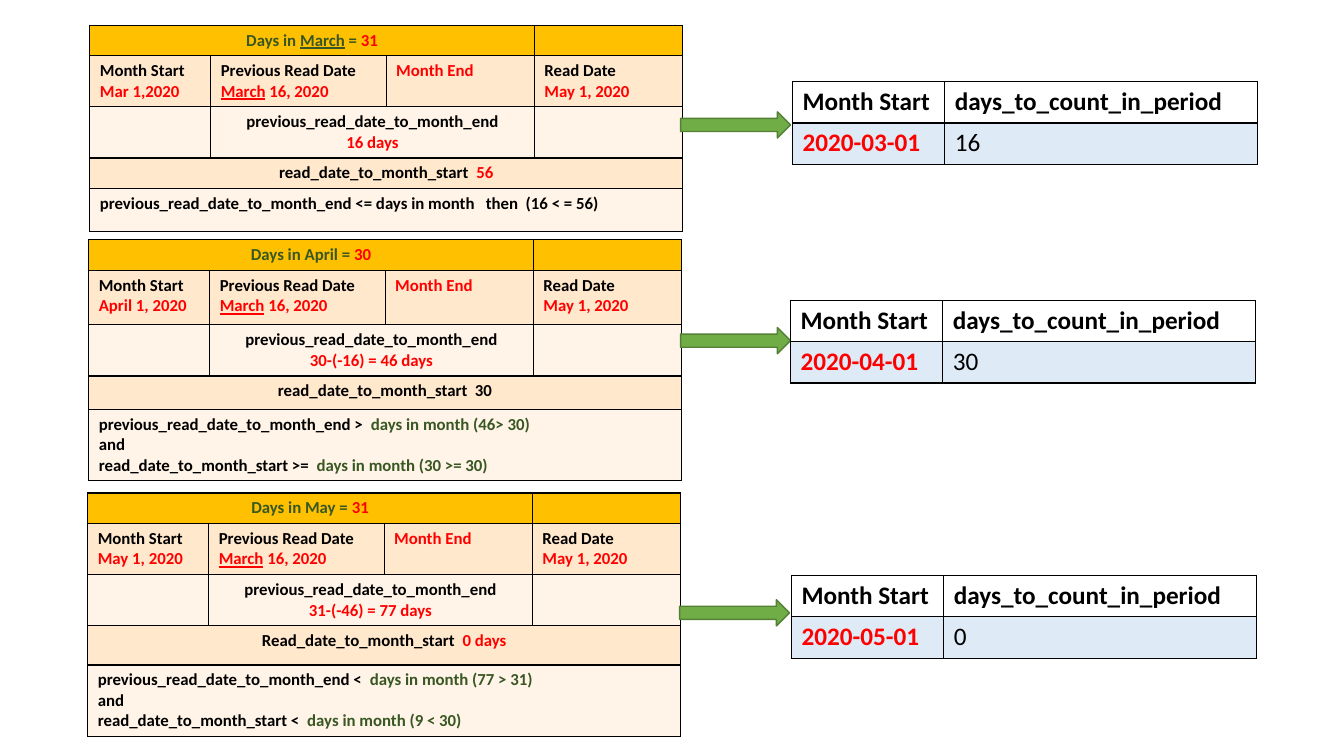
import pptx
import pptx.dml.color
import pptx.enum.shapes
import pptx.enum.text
import pptx.oxml.ns
import pptx.util
from lxml import etree

Inches = pptx.util.Inches
Pt = pptx.util.Pt
RGBColor = pptx.dml.color.RGBColor
CENTER = pptx.enum.text.PP_ALIGN.CENTER

BLACK = RGBColor(0x00, 0x00, 0x00)
RED = RGBColor(0xFF, 0x00, 0x00)
DARK_GREEN = RGBColor(0x38, 0x57, 0x23)
GOLD = RGBColor(0xFF, 0xC0, 0x00)
PEACH = RGBColor(0xFF, 0xE8, 0xCC)
CREAM = RGBColor(0xFF, 0xF4, 0xE7)
PALE_BLUE = RGBColor(0xDE, 0xEB, 0xF7)
ARROW_GREEN = RGBColor(0x70, 0xAD, 0x47)
ARROW_EDGE = RGBColor(0x53, 0x80, 0x35)

# A cell text is a list of paragraphs; a paragraph is a list of
# (text, colour) or (text, colour, underlined) runs.
MONTHS = [
    {
        "detail_at": (0.89, 0.25), "arrow_at": (6.75, 1.11), "result_at": (7.86, 0.81),
        "rows": [0.29, 0.48, 0.48, 0.29, 0.43],
        "title": [("Days in ", DARK_GREEN), ("March", DARK_GREEN, True),
                  (" = ", DARK_GREEN), ("31", RED)],
        "start": "Mar 1,2020", "to_end": "16 days",
        "to_start": [("read_date_to_month_start  ", BLACK), ("56", RED)],
        "rule": [[("previous_read_date_to_month_end <= days in month   then  (16 < = 56)", BLACK)]],
        "result": ("2020-03-01", "16"),
    },
    {
        "detail_at": (0.88, 2.38), "arrow_at": (6.75, 3.25), "result_at": (7.84, 2.98),
        "rows": [0.23, 0.54, 0.46, 0.33, 0.67],
        "title": [("Days in April = ", DARK_GREEN), ("30", RED)],
        "start": "April 1, 2020", "to_end": "30-(-16) = 46 days",
        "to_start": [("read_date_to_month_start  30", BLACK)],
        "rule": [
            [("previous_read_date_to_month_end >  ", BLACK), ("days in month (46> 30)", DARK_GREEN)],
            [("and", BLACK)],
            [("read_date_to_month_start >=  ", BLACK), ("days in month (30 >= 30)", DARK_GREEN)],
        ],
        "result": ("2020-04-01", "30"),
    },
    {
        "detail_at": (0.87, 4.89), "arrow_at": (6.74, 5.95), "result_at": (7.85, 5.71),
        "rows": [0.27, 0.49, 0.46, 0.39, 0.61],
        "title": [("Days in May = ", DARK_GREEN), ("31", RED)],
        "start": "May 1, 2020", "to_end": "31-(-46) = 77 days",
        "to_start": [("Read_date_to_month_start  ", BLACK), ("0 days", RED)],
        "rule": [
            [("previous_read_date_to_month_end <  ", BLACK), ("days in month (77 > 31)", DARK_GREEN)],
            [("and", BLACK)],
            [("read_date_to_month_start <  ", BLACK), ("days in month (9 < 30)", DARK_GREEN)],
        ],
        "result": ("2020-05-01", "0"),
    },
]
DETAIL_COLUMNS = [1.2, 1.74, 1.47, 1.47]
DETAIL_FILLS = [GOLD, PEACH, CREAM, PEACH, CREAM]
DETAIL_MERGES = [((0, 0), (0, 2)), ((2, 1), (2, 2)), ((3, 0), (3, 3)), ((4, 0), (4, 3))]
CENTERED_CELLS = [(0, 0), (2, 1), (3, 0)]
RESULT_COLUMNS = [1.51, 3.1]
RESULT_ROWS = [0.41, 0.41]
ARROW_SIZE = (1.09, 0.26)


def add_borders(cell):
    properties = cell._tc.get_or_add_tcPr()
    for index, side in enumerate(("lnL", "lnR", "lnT", "lnB")):
        line = etree.Element(pptx.oxml.ns.qn("a:" + side), w=str(Pt(1)))
        fill = etree.SubElement(line, pptx.oxml.ns.qn("a:solidFill"))
        etree.SubElement(fill, pptx.oxml.ns.qn("a:srgbClr"), val=str(BLACK))
        properties.insert(index, line)


def add_table(slide, position, columns, rows, fills, merges=()):
    """Add a bordered table with one fill per row; None means no fill."""
    table = slide.shapes.add_table(
        len(rows), len(columns), *map(Inches, position),
        Inches(sum(columns)), Inches(sum(rows))).table
    table.first_row = False
    table.horz_banding = False
    for column, width in zip(table.columns, columns):
        column.width = Inches(width)
    for row, height, fill in zip(table.rows, rows, fills):
        row.height = Inches(height)
        for cell in row.cells:
            add_borders(cell)
            if fill is None:
                cell.fill.background()
            else:
                cell.fill.solid()
                cell.fill.fore_color.rgb = fill
    for first, last in merges:
        table.cell(*first).merge(table.cell(*last))
    return table


def write_cell(cell, paragraphs, size, bold=True, alignment=None):
    for index, runs in enumerate(paragraphs):
        frame = cell.text_frame
        paragraph = frame.add_paragraph() if index else frame.paragraphs[0]
        paragraph.alignment = alignment
        for text, color, *underlined in runs:
            run = paragraph.add_run()
            run.text = text
            run.font.name = "Calibri"
            run.font.size = Pt(size)
            run.font.bold = bold
            run.font.underline = bool(underlined)
            run.font.color.rgb = color


def shrink_empty_cell(cell, size):
    """Keep an empty cell from making its row taller."""
    paragraph = cell.text_frame.paragraphs[0]._p
    etree.SubElement(paragraph, pptx.oxml.ns.qn("a:endParaRPr"), sz=str(size * 100))


def add_detail_table(slide, month):
    table = add_table(slide, month["detail_at"], DETAIL_COLUMNS, month["rows"],
                      DETAIL_FILLS, DETAIL_MERGES)
    texts = {
        (0, 0): [month["title"]],
        (1, 0): [[("Month Start", BLACK)], [(month["start"], RED)]],
        (1, 1): [[("Previous Read Date", BLACK)], [("March", RED, True), (" 16, 2020", RED)]],
        (1, 2): [[("Month End", RED)]],
        (1, 3): [[("Read Date", BLACK)], [("May 1, 2020", RED)]],
        (2, 1): [[("previous_read_date_to_month_end", BLACK)], [(month["to_end"], RED)]],
        (3, 0): [month["to_start"]],
        (4, 0): month["rule"],
    }
    for row in range(len(month["rows"])):
        for column in range(len(DETAIL_COLUMNS)):
            place = (row, column)
            if place in texts:
                alignment = CENTER if place in CENTERED_CELLS else None
                write_cell(table.cell(*place), texts[place], 12, alignment=alignment)
            else:
                shrink_empty_cell(table.cell(*place), 12)


def add_arrow(slide, position):
    arrow = slide.shapes.add_shape(
        pptx.enum.shapes.MSO_SHAPE.RIGHT_ARROW, *map(Inches, position + ARROW_SIZE))
    arrow.shadow.inherit = False
    arrow.fill.solid()
    arrow.fill.fore_color.rgb = ARROW_GREEN
    arrow.line.color.rgb = ARROW_EDGE
    arrow.line.width = Pt(1)


def add_result_table(slide, month):
    table = add_table(slide, month["result_at"], RESULT_COLUMNS, RESULT_ROWS, [None, PALE_BLUE])
    start, days = month["result"]
    write_cell(table.cell(0, 0), [[("Month Start", BLACK)]], 18)
    write_cell(table.cell(0, 1), [[("days_to_count_in_period", BLACK)]], 18)
    write_cell(table.cell(1, 0), [[(start, RED)]], 18)
    write_cell(table.cell(1, 1), [[(days, BLACK)]], 18, bold=False)


def main():
    presentation = pptx.Presentation()
    presentation.slide_width = Inches(13.33)
    presentation.slide_height = Inches(7.5)
    slide = presentation.slides.add_slide(presentation.slide_layouts[6])
    for month in MONTHS:
        add_detail_table(slide, month)
        add_arrow(slide, month["arrow_at"])
        add_result_table(slide, month)
    presentation.save("out.pptx")


if __name__ == "__main__":
    main()
